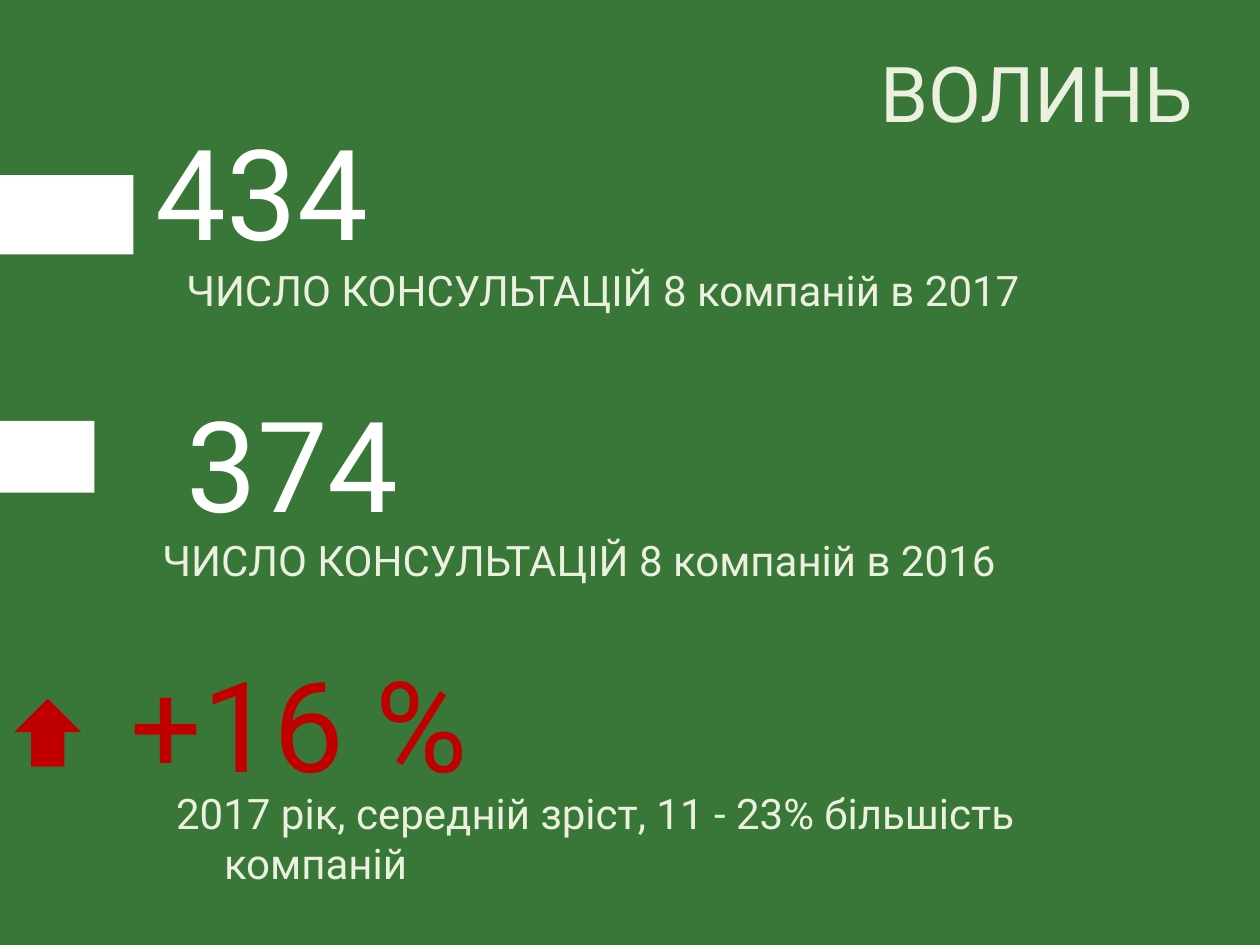
"""Build the slide comparing Volyn consultation counts for 2017 and 2016."""
from pptx import Presentation
from pptx import util as u
from pptx.dml.color import RGBColor
from pptx.enum import shapes, text

COLORS = {"green": "397739", "white": "FFFFFF", "cream": "EBF1DE", "red": "C00000"}
FONT = "Roboto"

prs = Presentation()
prs.slide_width, prs.slide_height = u.Inches(10), u.Inches(7.5)
COL, ROW = prs.slide_width / 100, prs.slide_height / 75
s = prs.slides.add_slide(prs.slide_layouts[6])
s.background.fill.solid()
s.background.fill.fore_color.rgb = RGBColor.from_string(COLORS["green"])


def grid(x, y, w, h):
    return [int(v) for v in (x * COL, y * ROW, w * COL, h * ROW)]


def add_text(box, words, size, color, inset=0.1, align=text.PP_ALIGN.LEFT, hang=0):
    tf = s.shapes.add_textbox(*grid(*box)).text_frame
    tf.word_wrap = True
    tf.vertical_anchor = text.MSO_ANCHOR.TOP
    tf.margin_left = tf.margin_right = u.Inches(0.1)
    tf.margin_top = tf.margin_bottom = u.Inches(inset)
    p = tf.paragraphs[0]
    p.alignment = align
    if hang:
        pPr = p._p.get_or_add_pPr()
        pPr.set("marL", str(u.Inches(hang)))
        pPr.set("indent", str(-u.Inches(hang)))
    r = p.add_run()
    r.text = words
    r.font.size, r.font.name = u.Pt(size), FONT
    r.font.color.rgb = RGBColor.from_string(COLORS[color])
    return tf


figures = [
    ((7.6, 8.1, 28.9, 11.1), "434 ", "white", text.PP_ALIGN.CENTER),
    ((13.8, 29.7, 21.8, 13.1), "374", "white", text.PP_ALIGN.LEFT),
    ((9.4, 50.3, 85, 13.1), "+16 %", "red", text.PP_ALIGN.LEFT),
]
for box, words, color, align in figures:
    add_text(box, words, 72, color, align=align)

captions = [
    ((13.8, 20, 77.2, 11.9), "ЧИСЛО КОНСУЛЬТАЦІЙ 8 компаній в 2017"),
    ((11.9, 41.4, 85, 6.8), "ЧИСЛО КОНСУЛЬТАЦІЙ 8 компаній в 2016"),
    ((13, 61.5, 81.4, 13.5), "2017 рік, середній зріст, 11 - 23% більшість компаній"),
]
for box, words in captions:
    add_text(box, words, 24, "cream", hang=0.38)

region = add_text((68.9, 3.1, 29.1, 8.4), "ВОЛИНЬ", 44, "cream", inset=0.05)
region.auto_size = text.MSO_AUTO_SIZE.SHAPE_TO_FIT_TEXT

KIND = shapes.MSO_SHAPE
markers = [
    (KIND.RECTANGLE, (0, 13.9, 10.6, 6.3), "white", 0),
    (KIND.RECTANGLE, (0, 33.4, 7.5, 5.7), "white", 0),
    (KIND.RIGHT_ARROW, (1.1, 55.5, 5.4, 5.3), "red", 270),
]
for kind, box, color, angle in markers:
    sp = s.shapes.add_shape(kind, *grid(*box))
    sp.shadow.inherit = False
    sp.rotation = angle
    sp.fill.solid()
    sp.fill.fore_color.rgb = RGBColor.from_string(COLORS[color])
    sp.line.fill.background()

prs.save("out.pptx")
